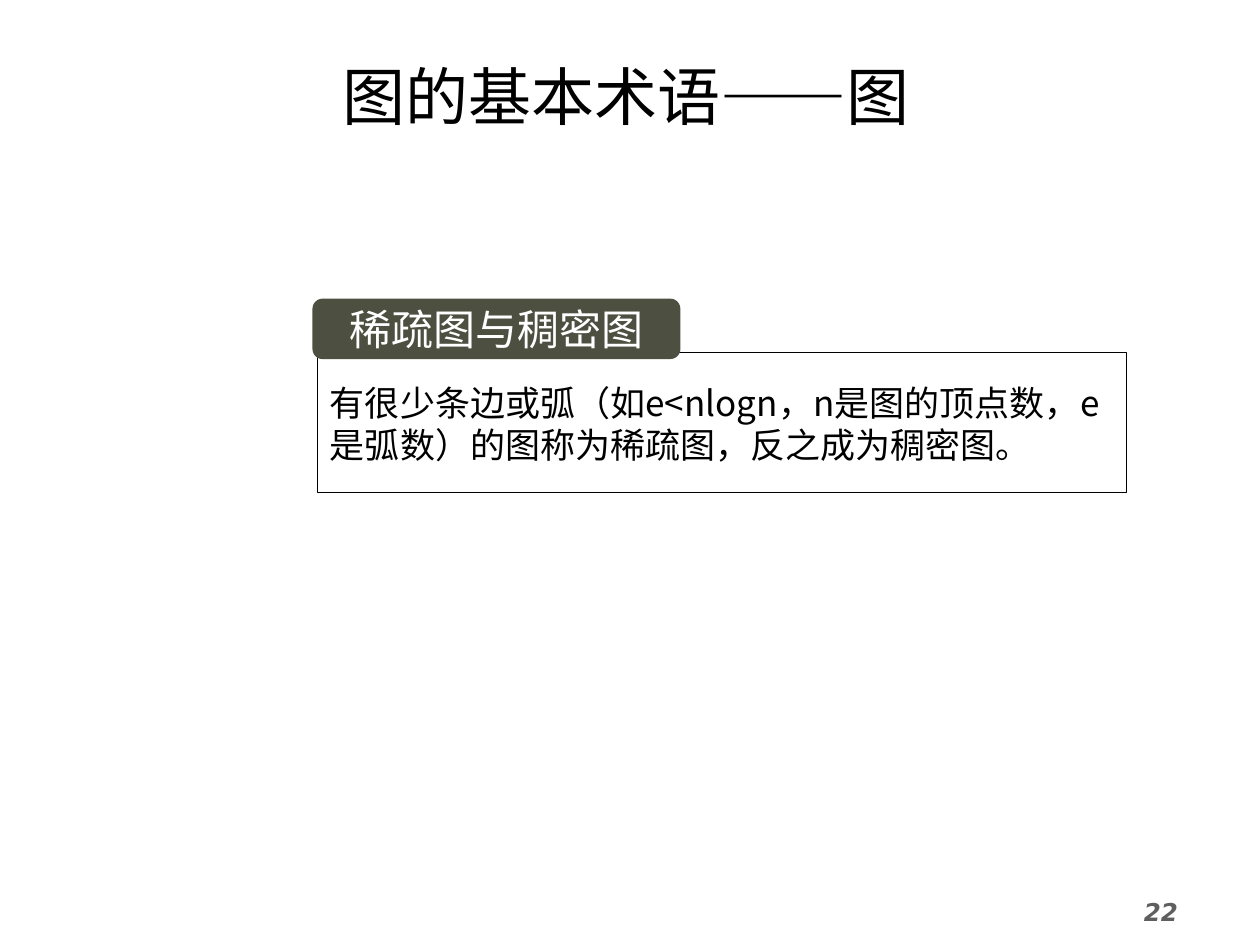
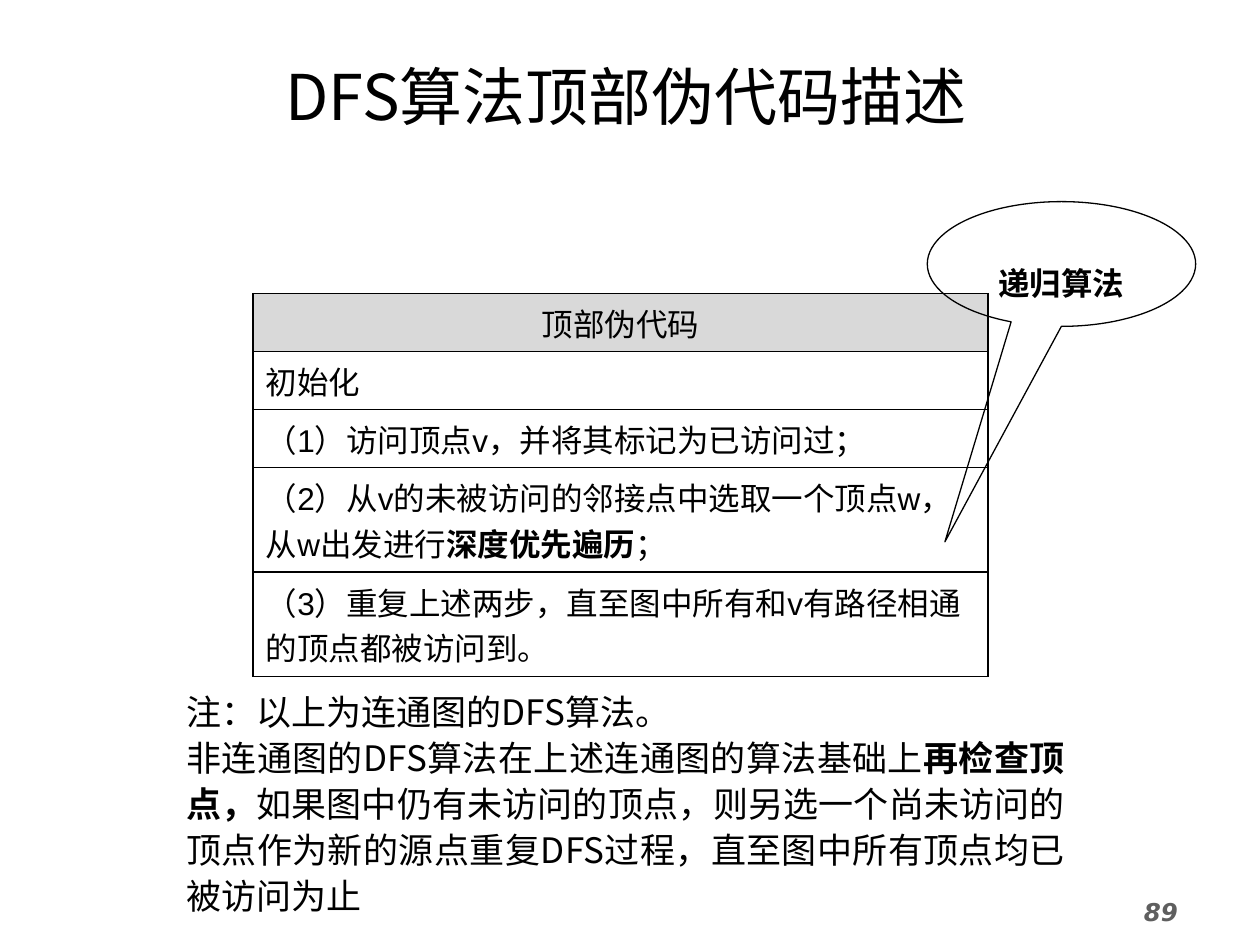
from lxml import etree
from pptx import Presentation
from pptx.dml.color import RGBColor
from pptx.enum import shapes, text
from pptx.oxml import ns
from pptx.util import Inches, Pt

BLACK, WHITE = "000000", "FFFFFF"
LABEL_GREEN, HEADER_GREY, NUMBER_GREY = "4D5040", "D9D9D9", "5F5F5F"
TITLE_FONT, BODY_FONT = "Noto Sans CJK JP", "Noto Sans CJK SC"
TABLE_FONT, LABEL_FONT, NUMBER_FONT = "Arial", "Courier New", "DejaVu Sans"
LEFT, CENTER, JUSTIFY = (text.PP_ALIGN.LEFT, text.PP_ALIGN.CENTER,
                         text.PP_ALIGN.JUSTIFY)
MIDDLE = text.MSO_ANCHOR.MIDDLE


def rgb(hex_color):
    return RGBColor.from_string(hex_color)


def inches(*lengths):
    return [Inches(length) for length in lengths]


def style_run(run, size, font, color, bold, italic):
    run.font.size = Pt(size)
    run.font.name = font
    run.font.bold = bold
    run.font.italic = italic
    run.font.color.rgb = rgb(color)
    east_asian = BODY_FONT if font in (TABLE_FONT, LABEL_FONT) else font
    latin = run.font._element.find(ns.qn("a:latin"))
    ea = etree.Element(ns.qn("a:ea"), typeface=east_asian)
    latin.addnext(ea)


def write(frame, paragraphs, size, font=BODY_FONT, color=BLACK, align=LEFT,
          bold=False, italic=False, leading=None):
    """Fill a frame; parts between ** marks are bold, leading is in points."""
    for index, content in enumerate(paragraphs):
        paragraph = frame.add_paragraph() if index else frame.paragraphs[0]
        paragraph.alignment = align
        if leading:
            paragraph.line_spacing = Pt(leading)
        for part, words in enumerate(content.split("**")):
            run = paragraph.add_run()
            run.text = words
            style_run(run, size, font, color, bold or part % 2 == 1, italic)


def add_slide(deck, title, number, title_left, title_width):
    slide = deck.slides.add_slide(deck.slide_layouts[5])
    heading = slide.shapes.title
    heading.left, heading.top, heading.width, heading.height = inches(
        title_left, 0.4, title_width, 0.71)
    heading.text_frame.vertical_anchor = MIDDLE
    write(heading.text_frame, [title], 36, TITLE_FONT, align=CENTER)
    add_text(slide, (8.98, 7.07, 1.02, 0.43), [number], 14, font=NUMBER_FONT,
             color=NUMBER_GREY, bold=True, italic=True)
    return slide


def add_text(slide, box, paragraphs, size, **style):
    frame = slide.shapes.add_textbox(*inches(*box)).text_frame
    frame.word_wrap = True
    write(frame, paragraphs, size, **style)


def add_panel(slide, kind, box, words, size, fill=None, line=None,
              anchor=MIDDLE, wrap=True, **style):
    panel = slide.shapes.add_shape(kind, *inches(*box))
    panel.shadow.inherit = False
    if fill:
        panel.fill.solid()
        panel.fill.fore_color.rgb = rgb(fill)
    else:
        panel.fill.background()
    if line:
        panel.line.color.rgb = rgb(line)
        panel.line.width = Pt(0.75)
    else:
        panel.line.fill.background()
    frame = panel.text_frame
    frame.word_wrap = wrap
    frame.vertical_anchor = anchor
    write(frame, [words], size, **style)
    return panel


def point_callout(callout, tip_x, tip_y):
    """Move the tip of the callout's tail to a place given in inches."""
    for index, (tip, start, length) in enumerate((
            (tip_x, callout.left, callout.width),
            (tip_y, callout.top, callout.height))):
        callout.adjustments[index] = (Inches(tip) - start) / length - 0.5


def set_borders(cell, widths):
    """Draw black cell borders; widths maps L, R, T, B to points."""
    properties = cell._tc.get_or_add_tcPr()
    for side, width in widths.items():
        border = etree.SubElement(properties, ns.qn(f"a:ln{side}"),
                                  w=str(Pt(width)))
        fill = etree.SubElement(border, ns.qn("a:solidFill"))
        etree.SubElement(fill, ns.qn("a:srgbClr"), val=BLACK)


def add_step_table(slide, left, top, width, header, steps):
    """Add a one-column table; steps pairs each text with its line count."""
    rows = [(header, 1)] + steps
    heights = [0.46 if lines == 1 else 0.83 for _, lines in rows]
    table = slide.shapes.add_table(
        len(rows), 1, *inches(left, top, width, sum(heights))).table
    table.first_row = table.horz_banding = False
    for index, (words, _) in enumerate(rows):
        table.rows[index].height = Inches(heights[index])
        cell = table.cell(index, 0)
        is_header = index == 0
        set_borders(cell, {"L": 1, "R": 1, "T": 1 if index < 2 else 0.75,
                           "B": 1 if is_header else 0.75})
        if is_header:
            cell.fill.solid()
            cell.fill.fore_color.rgb = rgb(HEADER_GREY)
        else:
            cell.fill.background()
        cell.vertical_anchor = MIDDLE
        write(cell.text_frame, [words], 18, TABLE_FONT,
              align=CENTER if is_header else LEFT)


def build_graph_terms(deck):
    slide = add_slide(deck, "图的基本术语——图", "22", 0.63, 8.67)
    definition = add_panel(
        slide, shapes.MSO_SHAPE.RECTANGLE, (2.52, 2.8, 6.42, 1.11),
        "有很少条边或弧（如e<nlogn，n是图的顶点数，e是弧数）的图称为稀疏图，反之成为稠密图。",
        20, fill=WHITE, line=BLACK, leading=24)
    definition.text_frame.margin_top = Inches(0.06)
    add_panel(slide, shapes.MSO_SHAPE.ROUNDED_RECTANGLE,
              (2.48, 2.37, 2.92, 0.48), "稀疏图与稠密图", 24,
              fill=LABEL_GREEN, wrap=False, font=LABEL_FONT, color=WHITE,
              align=CENTER)


def build_dfs(deck):
    slide = add_slide(deck, "DFS算法顶部伪代码描述", "89", 0.2, 9.54)
    add_step_table(slide, 2.01, 2.33, 5.83, "顶部伪代码", [
        ("初始化", 1),
        ("（1）访问顶点v，并将其标记为已访问过；", 1),
        ("（2）从v的未被访问的邻接点中选取一个顶点w，从w出发进行**深度优先遍历**；", 2),
        ("（3）重复上述两步，直至图中所有和v有路径相通的顶点都被访问到。", 2),
    ])
    add_text(slide, (1.38, 5.4, 7.17, 1.91), [
        "注：以上为连通图的DFS算法。",
        "非连通图的DFS算法在上述连通图的算法基础上**再检查顶点，**"
        "如果图中仍有未访问的顶点，则另选一个尚未访问的顶点作为新的源点"
        "重复DFS过程，直至图中所有顶点均已被访问为止",
    ], 20, align=JUSTIFY, leading=26.3)
    callout = add_panel(slide, shapes.MSO_SHAPE.OVAL_CALLOUT,
                        (7.36, 1.6, 2.13, 0.99), "递归算法", 18, line=BLACK,
                        anchor=text.MSO_ANCHOR.BOTTOM, align=CENTER,
                        bold=True)
    point_callout(callout, 7.5, 4.3)
    callout.text_frame.margin_bottom = Inches(0.05)


def main():
    deck = Presentation()
    deck.slide_width, deck.slide_height = inches(10, 7.5)
    build_graph_terms(deck)
    build_dfs(deck)
    deck.save("out.pptx")


if __name__ == "__main__":
    main()
